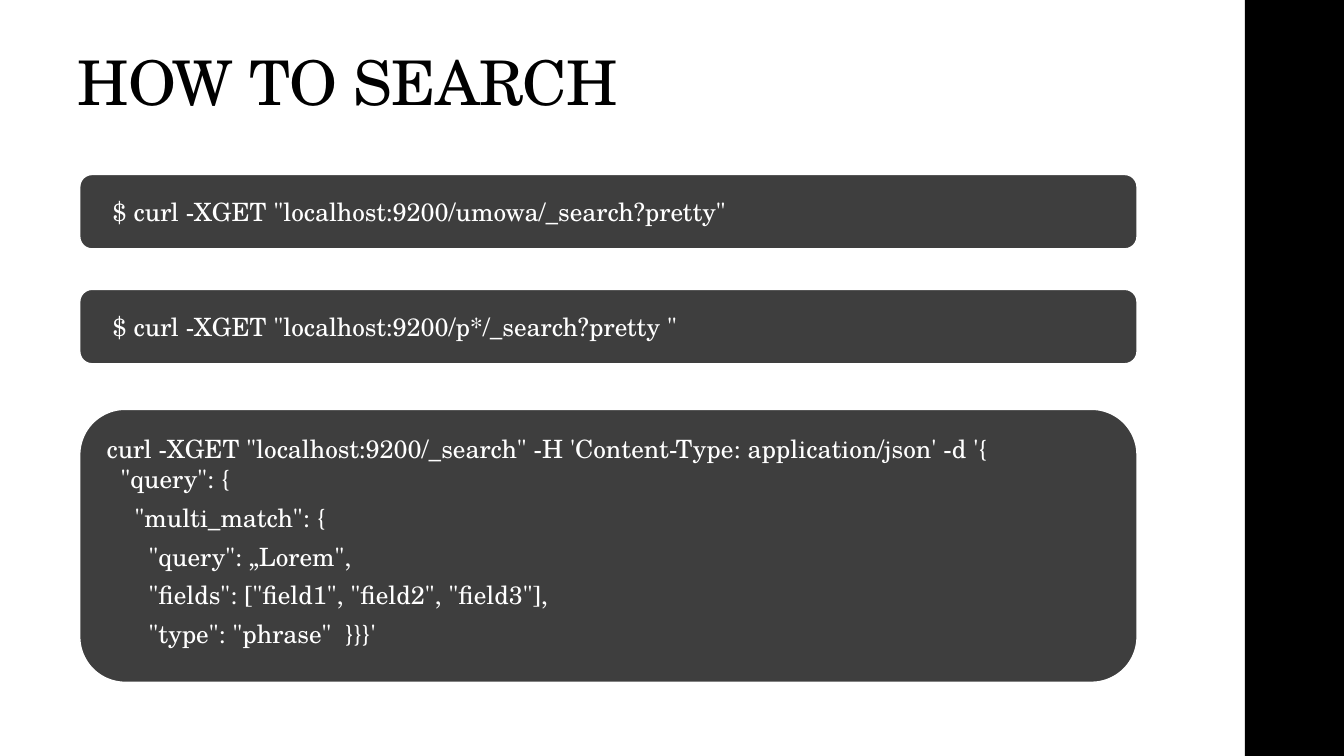
from dataclasses import dataclass

from pptx import Presentation
from pptx.dml.color import RGBColor
from pptx.enum.shapes import MSO_SHAPE
from pptx.enum.text import MSO_ANCHOR, MSO_AUTO_SIZE, PP_ALIGN
from pptx.util import Inches, Pt

RECTANGLE = MSO_SHAPE.RECTANGLE
ROUNDED = MSO_SHAPE.ROUNDED_RECTANGLE
LEFT = PP_ALIGN.LEFT
TOP, BOTTOM = MSO_ANCHOR.TOP, MSO_ANCHOR.BOTTOM
NO_AUTOFIT = MSO_AUTO_SIZE.NONE
FIT_SHAPE = MSO_AUTO_SIZE.SHAPE_TO_FIT_TEXT

BLACK = RGBColor(0x00, 0x00, 0x00)
WHITE = RGBColor(0xFF, 0xFF, 0xFF)
CHARCOAL = RGBColor(0x3E, 0x3E, 0x3E)
FONT = "TeX Gyre Schola"

SLIDE_WIDTH, SLIDE_HEIGHT = Inches(13.333), Inches(7.5)
INDENT_STEP = Pt(10)
PANEL_LEFT, PANEL_WIDTH = 5.93, 78.68


@dataclass(frozen=True)
class Box:
    """A place on the slide, in percent of its width and height."""
    left: float
    top: float
    width: float
    height: float

    def emu(self) -> tuple[int, int, int, int]:
        return (round(SLIDE_WIDTH * self.left / 100), round(SLIDE_HEIGHT * self.top / 100),
                round(SLIDE_WIDTH * self.width / 100), round(SLIDE_HEIGHT * self.height / 100))


@dataclass(frozen=True)
class CodeLine:
    text: str
    depth: int = 0
    line_spacing: float = 1.0
    before: int = 0
    after: int = 0


@dataclass(frozen=True)
class CodePanel:
    panel: Box
    code: Box
    lines: tuple[CodeLine, ...]


def command_panel(top: float, command: str) -> CodePanel:
    return CodePanel(Box(PANEL_LEFT, top, PANEL_WIDTH, 9.87),
                     Box(7.65, top + 2.2, 75.23, 5.33), (CodeLine(command),))


QUERY_BODY = (
    (1, '"query": {'),
    (2, '"multi_match": {'),
    (3, '"query": „Lorem",'),
    (3, '"fields": ["field1", "field2", "field3"],'),
    (3, '"type": "phrase"  }}}\''),
)
QUERY_LINES = (
    CodeLine('curl -XGET "localhost:9200/_search" -H \'Content-Type: application/json\' -d \'{',
             line_spacing=1.7, before=6),
    *(CodeLine(text, depth, after=6) for depth, text in QUERY_BODY),
)
PANELS = (
    command_panel(23.07, '$ curl -XGET "localhost:9200/umowa/_search?pretty"'),
    command_panel(38.27, '$ curl -XGET "localhost:9200/p*/_search?pretty "'),
    CodePanel(Box(PANEL_LEFT, 54.13, PANEL_WIDTH, 36.13),
              Box(7.2, 53.87, 76.05, 32.93), QUERY_LINES),
)


def set_font(paragraph, size: int, color: RGBColor) -> None:
    paragraph.font.name = FONT
    paragraph.font.size = Pt(size)
    paragraph.font.color.rgb = color


def add_sidebar(slide) -> None:
    sidebar = slide.shapes.add_shape(RECTANGLE, *Box(92.63, 0, 7.37, 100).emu())
    sidebar.shadow.inherit = False
    sidebar.fill.solid()
    sidebar.fill.fore_color.rgb = BLACK
    sidebar.line.fill.background()


def write_title(slide, text: str) -> None:
    title = slide.shapes.title
    title.left, title.top, title.width, title.height = Box(5.03, 2, 79.5, 14.4).emu()
    frame = title.text_frame
    frame.text = text
    frame.auto_size = NO_AUTOFIT
    frame.vertical_anchor = BOTTOM
    heading = frame.paragraphs[0]
    heading.alignment = LEFT
    heading.line_spacing = 0.9
    set_font(heading, 44, BLACK)
    heading.runs[0].font._element.set("spc", "-50")


def add_code_panel(slide, content: CodePanel) -> None:
    group = slide.shapes.add_group_shape()
    panel = group.shapes.add_shape(ROUNDED, *content.panel.emu())
    panel.shadow.inherit = False
    panel.fill.solid()
    panel.fill.fore_color.rgb = CHARCOAL
    panel.line.color.rgb = WHITE
    panel.line.width = Pt(1.1)

    frame = group.shapes.add_textbox(*content.code.emu()).text_frame
    frame.word_wrap = True
    frame.auto_size = FIT_SHAPE
    frame.vertical_anchor = TOP
    frame.text = "\n".join(line.text for line in content.lines)
    for paragraph, line in zip(frame.paragraphs, content.lines):
        paragraph.line_spacing = line.line_spacing
        paragraph.space_before = Pt(line.before)
        paragraph.space_after = Pt(line.after)
        paragraph._p.get_or_add_pPr().set("marL", str(line.depth * INDENT_STEP))
        set_font(paragraph, 18, WHITE)


def main() -> None:
    presentation = Presentation()
    presentation.slide_width, presentation.slide_height = SLIDE_WIDTH, SLIDE_HEIGHT
    title_only = presentation.slide_layouts[5]
    slide = presentation.slides.add_slide(title_only)
    add_sidebar(slide)
    write_title(slide, "HOW TO SEARCH")
    for content in PANELS:
        add_code_panel(slide, content)
    presentation.save("out.pptx")


if __name__ == "__main__":
    main()
